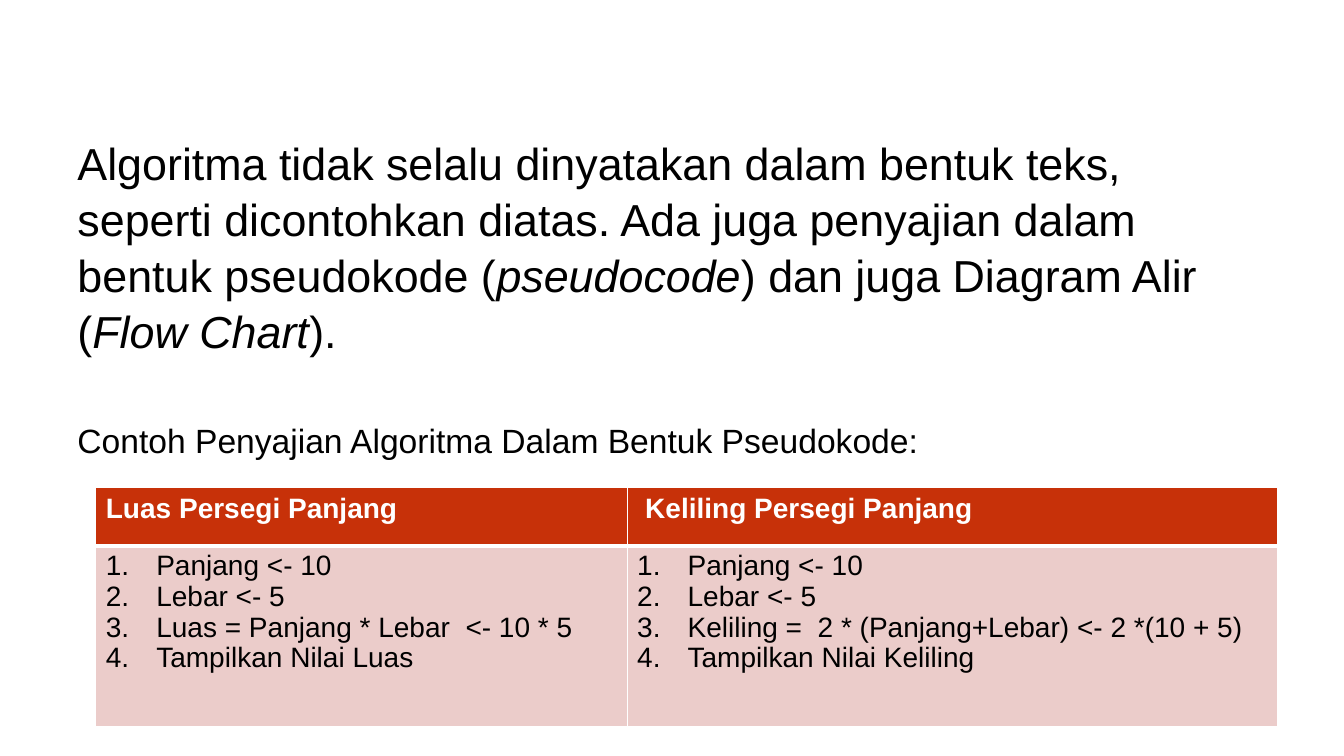
from dataclasses import dataclass

from lxml import etree
from pptx import Presentation
from pptx.dml.color import RGBColor
from pptx.oxml.ns import qn
from pptx.util import Inches, Pt


@dataclass(frozen=True)
class Theme:
    font: str = "Arial"
    ink: str = "000000"
    paper: str = "FFFFFF"
    header: str = "C73109"
    body: str = "EBCCCA"
    lead_size: int = 32
    caption_size: int = 24
    table_size: int = 20


class SlideBuilder:
    def __init__(self, slide, theme):
        self.slide = slide
        self.theme = theme

    def run(self, paragraph, text, size, color, bold=False, italic=False):
        run = paragraph.add_run()
        run.text = text
        font = run.font
        font.name, font.size = self.theme.font, Pt(size)
        font.bold, font.italic = bold, italic
        font.color.rgb = RGBColor.from_string(color)

    def text(self, left, top, width, height, paragraphs):
        """Each paragraph is (size, space before, [(text, italic), ...])."""
        frame = self.slide.shapes.add_textbox(
            Inches(left), Inches(top), Inches(width), Inches(height)).text_frame
        frame.word_wrap = True
        for index, (size, space, pieces) in enumerate(paragraphs):
            paragraph = frame.add_paragraph() if index else frame.paragraphs[0]
            paragraph.space_before = Pt(space)
            paragraph.line_spacing = 1.04
            for piece, italic in pieces:
                self.run(paragraph, piece, size, self.theme.ink, italic=italic)

    def number(self, paragraph):
        properties = paragraph._p.get_or_add_pPr()
        properties.set("marL", str(Inches(0.5)))
        properties.set("indent", str(-Inches(0.5)))
        color = etree.SubElement(properties, qn("a:buClr"))
        etree.SubElement(color, qn("a:srgbClr"), val=self.theme.ink)
        etree.SubElement(properties, qn("a:buFont"), typeface="+mj-lt")
        etree.SubElement(properties, qn("a:buAutoNum"), type="arabicPeriod")

    def paint(self, cell, color, top, bottom):
        """Draw the borders before the fill, as the cell schema orders them."""
        properties = cell._tc.get_or_add_tcPr()
        for side, width in (("L", 1), ("R", 1), ("T", top), ("B", bottom)):
            line = etree.SubElement(properties, qn(f"a:ln{side}"), w=str(Pt(width)))
            fill = etree.SubElement(line, qn("a:solidFill"))
            etree.SubElement(fill, qn("a:srgbClr"), val=self.theme.paper)
        cell.fill.solid()
        cell.fill.fore_color.rgb = RGBColor.from_string(color)

    def step_table(self, left, top, widths, heights, columns):
        """Each column is (heading, heading inset, numbered steps)."""
        theme = self.theme
        table = self.slide.shapes.add_table(
            len(heights), len(widths), Inches(left), Inches(top),
            Inches(sum(widths)), Inches(sum(heights))).table
        for row, height in zip(table.rows, heights):
            row.height = Inches(height)
        for index, (heading, inset, steps) in enumerate(columns):
            table.columns[index].width = Inches(widths[index])
            header, body = table.cell(0, index), table.cell(1, index)
            self.paint(header, theme.header, 1, 3)
            self.paint(body, theme.body, 3, 1)
            header.margin_left = Inches(inset)
            self.run(header.text_frame.paragraphs[0], heading,
                     theme.table_size, theme.paper, bold=True)
            frame = body.text_frame
            for position, step in enumerate(steps):
                paragraph = frame.add_paragraph() if position else frame.paragraphs[0]
                paragraph.line_spacing = 0.98
                self.number(paragraph)
                self.run(paragraph, step, theme.table_size, theme.ink)


def main():
    deck = Presentation()
    deck.slide_width, deck.slide_height = Inches(13.33), Inches(7.5)
    theme = Theme()
    builder = SlideBuilder(deck.slides.add_slide(deck.slide_layouts[6]), theme)

    explanation = [
        ("Algoritma tidak selalu dinyatakan dalam bentuk teks, seperti dicontohkan "
         "diatas. Ada juga penyajian dalam bentuk pseudokode (", False),
        ("pseudocode", True),
        (") dan juga Diagram Alir (", False),
        ("Flow Chart", True),
        (").", False),
    ]
    caption = [("Contoh Penyajian Algoritma Dalam Bentuk Pseudokode:", False)]
    builder.text(0.67, 1.28, 12, 5.42, [
        (theme.lead_size, 0, explanation),
        (theme.caption_size, 43, caption),
    ])

    inputs = ["Panjang <- 10", "Lebar <- 5"]
    builder.step_table(0.95, 4.84, [5.27, 6.45], [0.58, 1.79], [
        ("Luas Persegi Panjang", 0.1,
         inputs + ["Luas = Panjang * Lebar  <- 10 * 5", "Tampilkan Nilai Luas"]),
        ("Keliling Persegi Panjang", 0.18,
         inputs + ["Keliling =  2 * (Panjang+Lebar) <- 2 *(10 + 5)",
                   "Tampilkan Nilai Keliling"]),
    ])
    deck.save("out.pptx")


if __name__ == "__main__":
    main()
